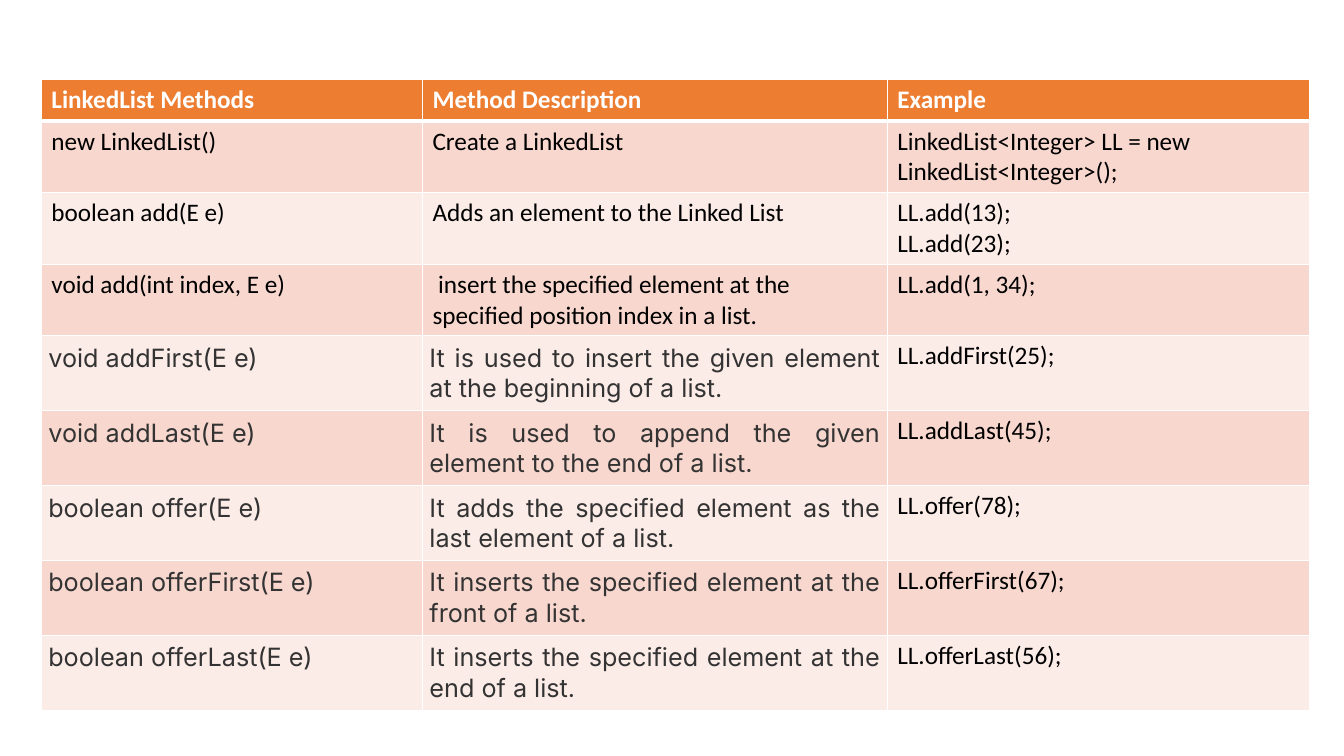
from lxml import etree
from pptx import Presentation
from pptx import util as u
from pptx.dml.color import RGBColor
from pptx.enum import text
from pptx.oxml.ns import qn

COLORS = {"header": "ED7D31", "odd": "F8D7CE", "even": "FCECE8",
          "white": "FFFFFF", "black": "000000", "gray": "333333"}
BODY = {"font": "Calibri", "color": "black", "bold": False,
        "align": text.PP_ALIGN.LEFT, "margins": (0.1, 0.05)}
HEADER = {**BODY, "color": "white", "bold": True}
INTER = {**BODY, "font": "Inter", "color": "gray",
         "align": text.PP_ALIGN.JUSTIFY, "margins": (0.07, 0.07)}

COLUMN_WIDTHS = (3.78, 4.61, 4.19)
ROW_HEIGHT = 0.41
METHODS = [
    ("LinkedList Methods", "Method Description", "Example"),
    ("new LinkedList()", "Create a LinkedList",
     "LinkedList<Integer> LL = new LinkedList<Integer>();"),
    ("boolean add(E e)", "Adds an element to the Linked List",
     "LL.add(13);\nLL.add(23);"),
    ("void add(int index, E e)",
     "\u00a0insert the specified element at the specified position index in a list.",
     "LL.add(1, 34);"),
    ("void addFirst(E e)",
     "It is used to insert the given element at the beginning of a list.",
     "LL.addFirst(25);"),
    ("void addLast(E e)",
     "It is used to append the given element to the end of a list.",
     "LL.addLast(45);"),
    ("boolean offer(E e)",
     "It adds the specified element as the last element of a list.",
     "LL.offer(78);"),
    ("boolean offerFirst(E e)",
     "It inserts the specified element at the front of a list.",
     "LL.offerFirst(67);"),
    ("boolean offerLast(E e)",
     "It inserts the specified element at the end of a list.",
     "LL.offerLast(56);"),
]
FIRST_INTER_ROW = 4


class SlideBuilder:
    """Holds the text size and the current slide."""

    def __init__(self, s, size=18):
        """Keep the slide and the common text size."""
        self.s, self.size = s, size

    def border(self, cell, side, width):
        """Draw a white line on one side (L, R, T or B) of a cell."""
        tcPr = cell._tc.get_or_add_tcPr()
        ln = etree.SubElement(tcPr, qn(f"a:ln{side}"), w=str(u.Pt(width)))
        fill = etree.SubElement(ln, qn("a:solidFill"))
        etree.SubElement(fill, qn("a:srgbClr"), val=COLORS["white"])

    def cell(self, cell, words, style, fill, borders):
        """Write and format one table cell."""
        for side, width in borders.items():
            self.border(cell, side, width)
        cell.fill.solid()
        cell.fill.fore_color.rgb = RGBColor.from_string(COLORS[fill])
        across, down = style["margins"]
        margins = {"left": across, "right": across, "top": down, "bottom": down}
        for side, margin in margins.items():
            setattr(cell, f"margin_{side}", u.Inches(margin))
        tf = cell.text_frame
        tf.text = words
        font = {"name": style["font"], "size": u.Pt(self.size), "bold": style["bold"]}
        for p in tf.paragraphs:
            p.alignment = style["align"]
            for r in p.runs:
                for name, value in font.items():
                    setattr(r.font, name, value)
                r.font.color.rgb = RGBColor.from_string(COLORS[style["color"]])

    def table(self, left, top, widths, row_height, rows):
        """Add the table of methods with its header and banded rows."""
        sp = self.s.shapes.add_table(
            len(rows), len(widths), u.Inches(left), u.Inches(top),
            u.Inches(sum(widths)), u.Inches(row_height * len(rows)))
        table = sp.table
        for column, width in zip(table.columns, widths):
            column.width = u.Inches(width)
        for i, row in enumerate(rows):
            table.rows[i].height = u.Inches(row_height)
            fill = "header" if i == 0 else "odd" if i % 2 else "even"
            borders = {"L": 1, "R": 1, "T": 3 if i == 1 else 1, "B": 3 if i == 0 else 1}
            for j, words in enumerate(row):
                if i == 0:
                    style = HEADER
                else:
                    style = INTER if i >= FIRST_INTER_ROW and j < 2 else BODY
                self.cell(table.cell(i, j), words, style, fill, borders)


def main():
    """Build the slide and save it."""
    prs = Presentation()
    prs.slide_width, prs.slide_height = u.Inches(13.33), u.Inches(7.5)
    s = prs.slides.add_slide(prs.slide_layouts[6])
    SlideBuilder(s).table(0.41, 0.79, COLUMN_WIDTHS, ROW_HEIGHT, METHODS)
    prs.save("out.pptx")


main()
